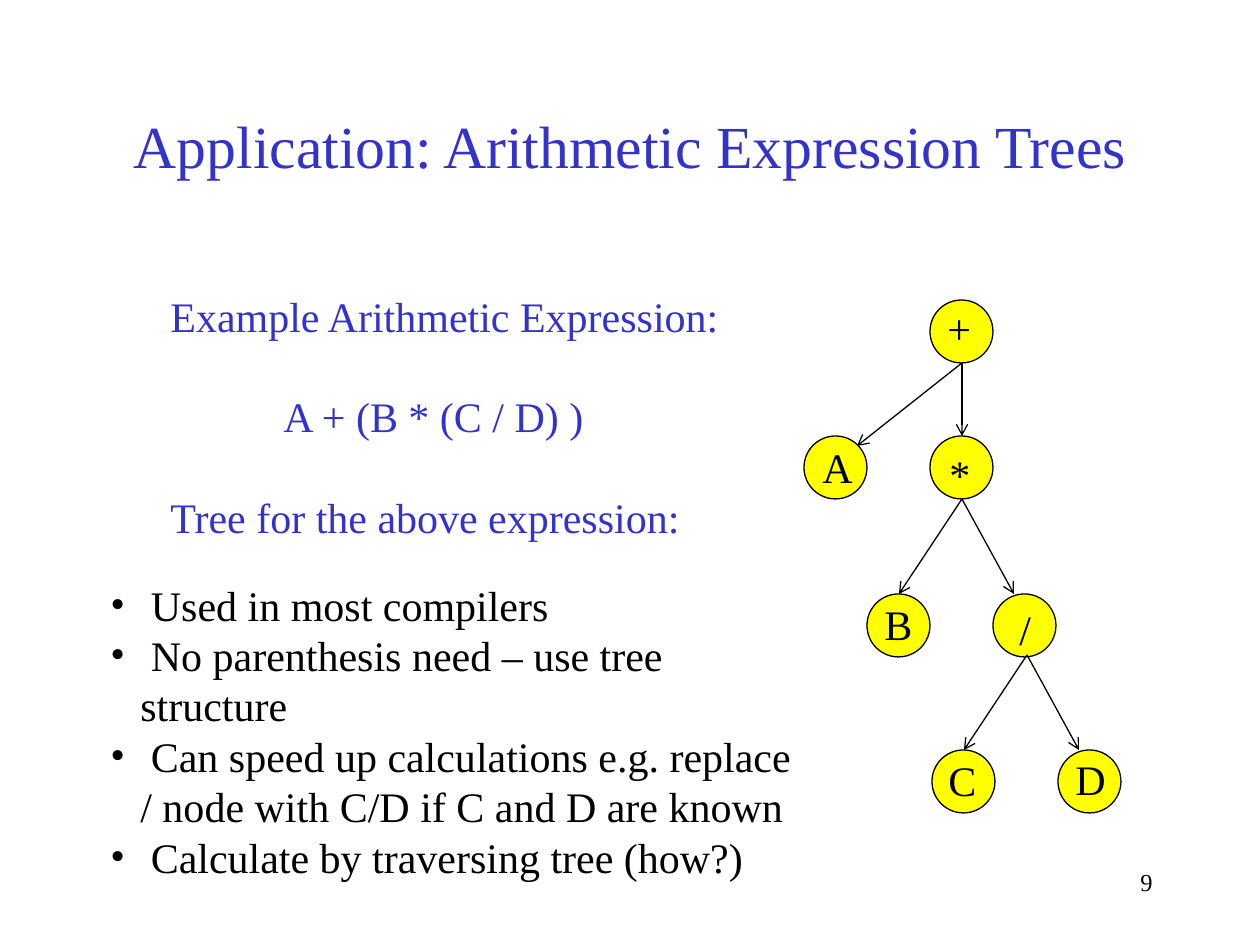
from lxml import etree
from pptx import Presentation
from pptx.dml.color import RGBColor
from pptx.enum.shapes import MSO_CONNECTOR, MSO_SHAPE
from pptx.enum.text import MSO_ANCHOR, MSO_AUTO_SIZE, PP_ALIGN
from pptx.oxml.ns import qn
from pptx.util import Emu, Pt

PX = 914400 / 126
FONT = "Times New Roman"
BLUE, BLACK, YELLOW = "3333CC", "000000", "FFFF00"
DIAMETER = 63


def px(*values):
    return [Emu(round(v * PX)) for v in values]


def add_run(p, text, size, color):
    r = p.add_run()
    r.text = text
    r.font.name = FONT
    r.font.size = Pt(size)
    r.font.color.rgb = RGBColor.from_string(color)


prs = Presentation()
prs.slide_width, prs.slide_height = px(1260, 945)
s = prs.slides.add_slide(prs.slide_layouts[5])

# Title
title = s.shapes.title
title.left, title.top, title.width, title.height = px(92, 89, 1076, 111)
tf = title.text_frame
tf.auto_size = MSO_AUTO_SIZE.NONE
tf.vertical_anchor = MSO_ANCHOR.MIDDLE
p = tf.paragraphs[0]
p.alignment = PP_ALIGN.CENTER
add_run(p, "Application: Arithmetic Expression Trees", 34.1, BLUE)

# Example expression: text, left indent
tf = s.shapes.add_textbox(*px(158, 284, 576, 265)).text_frame
tf.word_wrap = True
example = [
    ("Example Arithmetic Expression:", 0),
    ("A + (B * (C / D) )", 113),
    ("Tree for the above expression:", 0),
]
for i, (text, indent) in enumerate(example):
    p = tf.paragraphs[0] if i == 0 else tf.add_paragraph()
    p.line_spacing = Pt(28.8)
    if i:
        p.space_before = Pt(28.8)
    p._p.get_or_add_pPr().set("marL", str(px(indent)[0]))
    add_run(p, text, 24, BLUE)

# Expression tree: name -> node left, top, label left, top
nodes = {
    "+": (930, 300, 935, 296),
    "A": (804, 436, 810, 435),
    "*": (930, 436, 937, 442),
    "B": (867, 594, 872, 592),
    "/": (993, 594, 1007, 597),
    "C": (932, 750, 936, 748),
    "D": (1058, 750, 1063, 747),
}
for left, top, _, _ in nodes.values():
    sp = s.shapes.add_shape(MSO_SHAPE.OVAL, *px(left, top, DIAMETER, DIAMETER))
    sp.shadow.inherit = False
    sp.fill.solid()
    sp.fill.fore_color.rgb = RGBColor.from_string(YELLOW)
    sp.line.color.rgb = RGBColor.from_string(BLACK)
    sp.line.width = Pt(0.75)

# Arrows run from a parent's foot to a point on the child's rim
arrows = {
    (962, 363): [(857, 446), (962, 436)],
    (962, 499): [(899, 594), (1014, 594)],
    (1027, 655): [(964, 750), (1079, 750)],
}
for start, ends in arrows.items():
    for end in ends:
        arrow = s.shapes.add_connector(MSO_CONNECTOR.STRAIGHT, *px(*start, *end))
        arrow.line.color.rgb = RGBColor.from_string(BLACK)
        arrow.line.width = Pt(0.75)
        etree.SubElement(arrow.line._get_or_add_ln(), qn("a:tailEnd"), type="arrow")
        etree.SubElement(arrow._element.spPr, qn("a:effectLst"))

for name, (_, _, left, top) in nodes.items():
    tf = s.shapes.add_textbox(*px(left, top, 55, 63)).text_frame
    tf.word_wrap = True
    p = tf.paragraphs[0]
    p.line_spacing = Pt(28.8)
    add_run(p, name, 24, BLACK)

# Remarks: text, bulleted or not
tf = s.shapes.add_textbox(*px(98, 573, 720, 315)).text_frame
tf.word_wrap = True
remarks = [
    (" Used in most compilers", True),
    (" No parenthesis need – use tree structure", True),
    (" Can speed up calculations e.g. replace", True),
    ("/ node with C/D if C and D are known", False),
    (" Calculate by traversing tree (how?)", True),
]
hang = px(30)[0]
for i, (text, bulleted) in enumerate(remarks):
    p = tf.paragraphs[0] if i == 0 else tf.add_paragraph()
    p.line_spacing = Pt(28.8)
    pPr = p._p.get_or_add_pPr()
    pPr.set("marL", str(hang))
    if bulleted:
        pPr.set("indent", str(-hang))
        etree.SubElement(pPr, qn("a:buFont"), typeface=FONT)
        etree.SubElement(pPr, qn("a:buChar"), char="•")
    add_run(p, text, 24, BLACK)

# Slide number
tf = s.shapes.add_textbox(*px(903, 861, 262, 63)).text_frame
tf.word_wrap = True
p = tf.paragraphs[0]
p.alignment = PP_ALIGN.RIGHT
add_run(p, "9", 14, BLACK)

prs.save("out.pptx")
